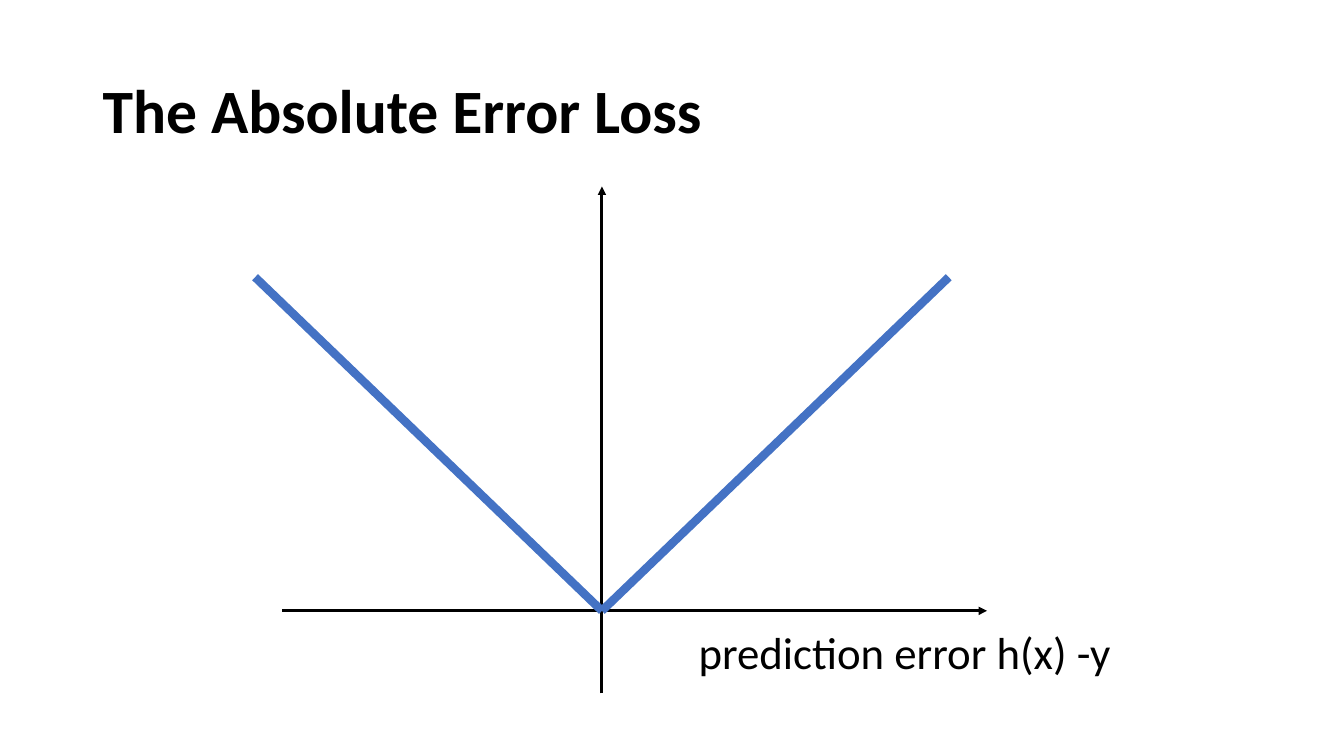
from pptx import Presentation
from pptx.dml.color import RGBColor
from pptx.enum.shapes import MSO_CONNECTOR
from pptx.enum.text import MSO_ANCHOR, MSO_AUTO_SIZE
from pptx.oxml.ns import qn
from pptx.util import Inches, Pt
from lxml.etree import SubElement

COLORS = {"ink": "000000", "loss": "4472C4"}
FONT = "Calibri"


def add_text(page, box, text, size, bold=False):
    shape = page.shapes.add_textbox(*(Inches(length) for length in box))
    para = shape.text_frame.paragraphs[0]
    span = para.add_run()
    span.text = text
    span.font.name = FONT
    span.font.size = Pt(size)
    span.font.bold = bold
    span.font.color.rgb = RGBColor.from_string(COLORS["ink"])
    return shape.text_frame


def add_line(page, start, end, color, width, arrow=False):
    ends = (Inches(length) for length in (*start, *end))
    line = page.shapes.add_connector(MSO_CONNECTOR.STRAIGHT, *ends)
    line.line.color.rgb = RGBColor.from_string(COLORS[color])
    line.line.width = Pt(width)
    if arrow:
        SubElement(line.line._get_or_add_ln(), qn("a:tailEnd"), type="triangle")
    SubElement(line._element.spPr, qn("a:effectLst"))


def add_title(page, box):
    frame = add_text(page, box, "The Absolute Error Loss", 44, bold=True)
    frame.word_wrap = True
    frame.vertical_anchor = MSO_ANCHOR.MIDDLE
    frame.paragraphs[0].line_spacing = 0.9


def add_loss_plot(page, box):
    left, top, width, height = box
    center = left + width / 2
    base = top + 4.21
    add_line(page, (left + 0.27, base), (center + 3.82, base), "ink", 2, arrow=True)
    add_line(page, (center, top + height), (center, top), "ink", 2, arrow=True)

    label_box = (center + 0.86, base + 0.09, 4.33, 0.64)
    label = add_text(page, label_box, "prediction error h(x) -y", 32)
    label.word_wrap = False
    label.auto_size = MSO_AUTO_SIZE.SHAPE_TO_FIT_TEXT

    for edge in (left, left + width):
        add_line(page, (edge, base - 3.31), (center, base), "loss", 6)


def main():
    deck = Presentation()
    deck.slide_width = Inches(13.33)
    deck.slide_height = Inches(7.5)
    page = deck.slides.add_slide(deck.slide_layouts[6])
    add_title(page, (0.92, 0.4, 11.5, 1.45))
    add_loss_plot(page, (2.53, 1.85, 6.88, 5.03))
    deck.save("out.pptx")


if __name__ == "__main__":
    main()
